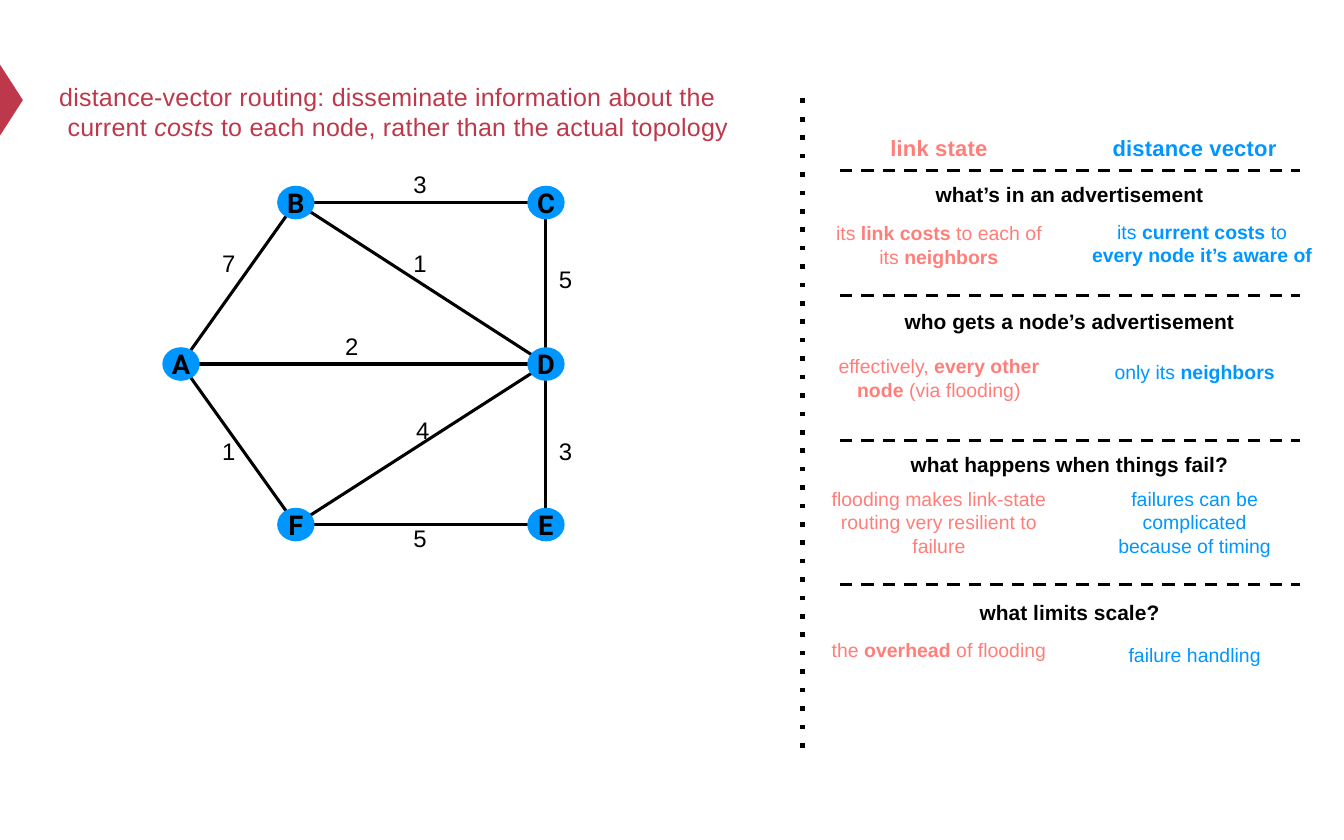
"""Build a slide comparing distance-vector and link-state routing."""
from lxml.etree import SubElement
from pptx import Presentation
from pptx.dml.color import RGBColor
from pptx.enum.dml import MSO_LINE
from pptx.enum.shapes import MSO_CONNECTOR, MSO_SHAPE
from pptx.enum.text import MSO_ANCHOR, PP_ALIGN
from pptx.oxml.ns import qn
from pptx.util import Pt

BLACK = RGBColor(0x00, 0x00, 0x00)
CRIMSON = RGBColor(0xBE, 0x38, 0x4B)
CORAL = RGBColor(0xFF, 0x7E, 0x79)
BLUE = RGBColor(0x00, 0x96, 0xFF)

MIDDLE_X, LINK_X, VECTOR_X = 573, 503, 640
RULE_LEFT, RULE_RIGHT = 450, 696.5

NODES = {
    "A": (97, 195), "B": (158.5, 108.5), "C": (292.5, 108.5),
    "D": (292.5, 195), "E": (292.5, 281), "F": (158.5, 281),
}
EDGES = [
    ("A", "B", "7", 122.5, 140.5), ("A", "F", "1", 122.5, 241.5),
    ("A", "D", "2", 188.5, 185), ("B", "C", "3", 225, 98.5),
    ("B", "D", "1", 225, 140.5), ("F", "D", "4", 226.5, 230),
    ("F", "E", "5", 225, 288), ("C", "D", "5", 303, 149.5),
    ("D", "E", "3", 303, 241.5),
]
HEADINGS = [
    (91.5, 97.5, "what’s in an advertisement"),
    (158.5, 165.5, "who gets a node’s advertisement"),
    (236, 242, "what happens when things fail?"),
    (313, 321, "what limits scale?"),
]
ANSWERS = [
    (LINK_X, 118.5, 115, CORAL, "its *link costs* to each of its *neighbors*"),
    (LINK_X, 189.5, 115, CORAL, "effectively, *every other node* (via flooding)"),
    (LINK_X, 260.5, 115, CORAL, "flooding makes link-state routing very resilient to failure"),
    (LINK_X, 341.5, 115, CORAL, "the *overhead* of flooding"),
    (VECTOR_X + 4, 117.5, 126, BLUE, "its *current costs* to\n*every node it’s aware of*"),
    (VECTOR_X, 192.5, 115, BLUE, "only its *neighbors*"),
    (VECTOR_X, 260.5, 92, BLUE, "failures can be complicated because of timing"),
    (VECTOR_X, 344.5, 115, BLUE, "failure handling"),
]


class RoutingSlide:
    """Draws styled elements on the current slide."""

    font = "Arial"
    node_font = "Roboto"
    stroke = 1.65

    def __init__(self, s):
        self.s = s

    def clear_margins(self, tf):
        tf.margin_left = tf.margin_right = tf.margin_top = tf.margin_bottom = 0

    def style(self, r, size, color, bold=False, italic=False, name=None, spacing=0):
        r.font.name = name or self.font
        r.font.size = Pt(size)
        r.font.bold = bold
        r.font.italic = italic
        r.font.color.rgb = color
        if spacing:
            r.font._element.set("spc", str(spacing))

    def text(self, x, y, w, text, size, color, bold=False, mark="bold",
             align=PP_ALIGN.CENTER, leading=1.0, spacing=0, hanging=0):
        lines = text.split("\n")
        sp = self.s.shapes.add_textbox(Pt(x), Pt(y), Pt(w), Pt(size * 1.15 * len(lines)))
        tf = sp.text_frame
        self.clear_margins(tf)
        tf.word_wrap = True
        for i, line in enumerate(lines):
            p = tf.add_paragraph() if i else tf.paragraphs[0]
            p.alignment = align
            p.line_spacing = leading
            if hanging:
                pPr = p._p.get_or_add_pPr()
                pPr.set("marL", str(Pt(hanging)))
                pPr.set("indent", str(Pt(-hanging)))
            for j, part in enumerate(line.split("*")):
                if part:
                    r = p.add_run()
                    r.text = part
                    marked = j % 2 == 1
                    self.style(r, size, color, bold or (marked and mark == "bold"),
                               marked and mark == "italic", spacing=spacing)

    def centered(self, cx, y, w, text, size, color, **options):
        self.text(cx - w / 2, y, w, text, size, color, **options)

    def line(self, x1, y1, x2, y2, width=None, dash=None):
        line = self.s.shapes.add_connector(
            MSO_CONNECTOR.STRAIGHT, Pt(x1), Pt(y1), Pt(x2), Pt(y2))
        line.line.color.rgb = BLACK
        line.line.width = Pt(width or self.stroke)
        if dash:
            line.line.dash_style = MSO_LINE.DASH
            line._element.xpath("./p:spPr/a:ln/a:prstDash")[0].set("val", dash)
        SubElement(line._element.spPr, qn("a:effectLst"))

    def shape(self, kind, cx, cy, w, h, color):
        sp = self.s.shapes.add_shape(kind, Pt(cx - w / 2), Pt(cy - h / 2), Pt(w), Pt(h))
        sp.shadow.inherit = False
        sp.fill.solid()
        sp.fill.fore_color.rgb = color
        sp.line.fill.background()
        return sp

    def node(self, name, cx, cy):
        tf = self.shape(MSO_SHAPE.OVAL, cx, cy, 20, 18, BLUE).text_frame
        self.clear_margins(tf)
        tf.word_wrap = False
        tf.vertical_anchor = MSO_ANCHOR.MIDDLE
        tf.text = name
        p = tf.paragraphs[0]
        p.alignment = PP_ALIGN.CENTER
        self.style(p.runs[0], 14.6, BLACK, bold=True, name=self.node_font)


def main():
    prs = Presentation()
    prs.slide_width, prs.slide_height = Pt(720), Pt(450)
    slide = RoutingSlide(prs.slides.add_slide(prs.slide_layouts[6]))

    marker = slide.shape(MSO_SHAPE.ISOSCELES_TRIANGLE, 6.12, 53.6, 38, 12.25, CRIMSON)
    marker.rotation = 90
    slide.text(31.7, 43.5, 370,
               "distance-vector routing: disseminate information about the "
               "current *costs* to each node, rather than the actual topology",
               13.4, CRIMSON, mark="italic", align=PP_ALIGN.LEFT, spacing=10, hanging=4.5)

    for start, end, cost, x, y in EDGES:
        slide.line(*NODES[start], *NODES[end])
        slide.centered(x, y - 7.5, 12, cost, 12.8, BLACK)
    for name, center in NODES.items():
        slide.node(name, *center)

    slide.line(430, 400.5, 430, 48, width=2.47, dash="dot")
    slide.centered(LINK_X, 72, 115, "link state", 11.8, CORAL, bold=True, spacing=10)
    slide.centered(VECTOR_X, 72, 115, "distance vector", 11.8, BLUE, bold=True, spacing=10)
    for rule_y, y, heading in HEADINGS:
        slide.line(RULE_LEFT, rule_y, RULE_RIGHT, rule_y, dash="dash")
        slide.centered(MIDDLE_X, y, 220, heading, 11.2, BLACK, bold=True, spacing=5)
    for x, y, w, color, answer in ANSWERS:
        slide.centered(x, y, w, answer, 10.4, color, leading=1.02)

    prs.save("out.pptx")


if __name__ == "__main__":
    main()
